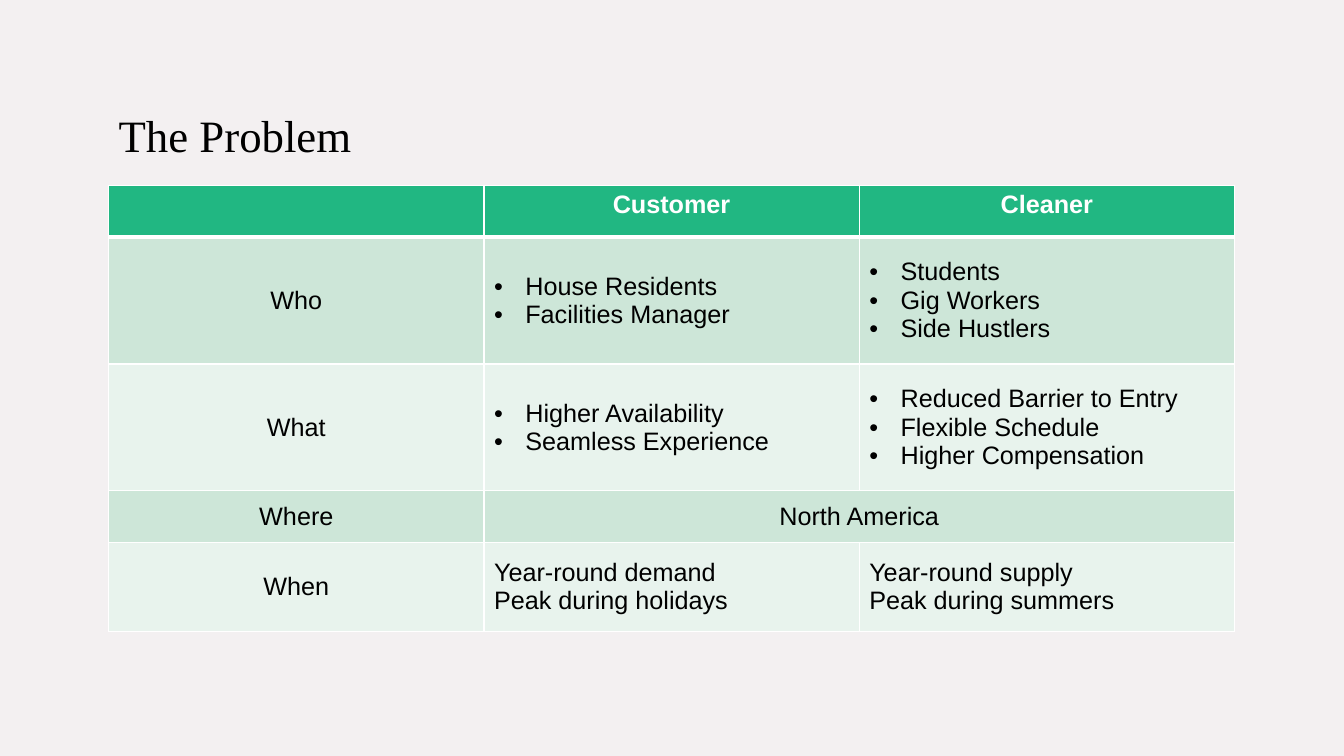
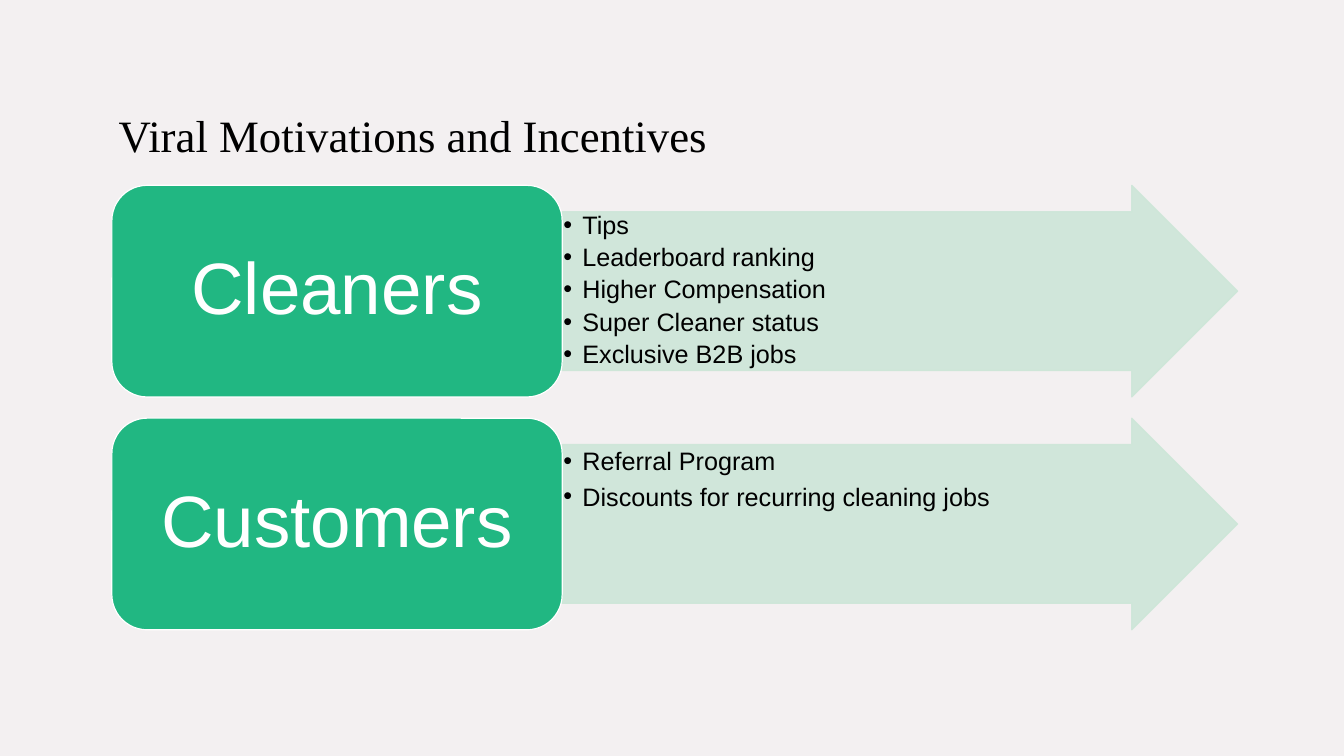
from lxml import etree
from pptx import Presentation, util as u
from pptx.dml.color import RGBColor
from pptx.enum import shapes, text
from pptx.oxml import ns

BACK, GREEN, MINT, PALE = "F3F0F1", "21B782", "CDE6D8", "E8F3ED"
WHITE, BLACK = "FFFFFF", "000000"
LEFT, WIDTH = 2.74, 28.37
BODY_TOP, BODY_HEIGHT = 4.67, 11.2

TABLE_HEAD = ["", "Customer", "Cleaner"]
TABLE_ROWS = [
    ("Who", ["House Residents", "Facilities Manager"],
     ["Students", "Gig Workers", "Side Hustlers"]),
    ("What", ["Higher Availability", "Seamless Experience"],
     ["Reduced Barrier to Entry", "Flexible Schedule", "Higher Compensation"]),
    ("Where", "North America", None),
    ("When", "Year-round demand\nPeak during holidays",
     "Year-round supply\nPeak during summers"),
]
ROW_HEIGHTS = [1.3, 3.2, 3.2, 1.3, 2.24]
INCENTIVES = [
    ("Cleaners", ["Tips", "Leaderboard ranking", "Higher Compensation",
                  "Super Cleaner status", "Exclusive B2B jobs"], 0.9),
    ("Customers", ["Referral Program", "Discounts for recurring cleaning jobs"], 1.0),
]


def paint(color, value):
    """Set a colour format from a hex string."""
    color.rgb = RGBColor.from_string(value)


def fill(target, value):
    """Give a shape, cell or background a solid fill."""
    target.fill.solid()
    paint(target.fill.fore_color, value)


def sub(parent, tag, **attrs):
    """Append a DrawingML element and return it."""
    return etree.SubElement(parent, ns.qn("a:" + tag), attrs)


def write(tf, lines, size, color, font="Arial", align=text.PP_ALIGN.LEFT,
          bold=False, indent=0, spacing=1.0, after=0):
    """Write lines as paragraphs, bulleted when an indent is given."""
    for i, line in enumerate(lines):
        p = tf.paragraphs[0] if i == 0 else tf.add_paragraph()
        p.text = line
        if indent:
            pPr = p._p.get_or_add_pPr()
            pPr.set("marL", str(u.Cm(indent)))
            pPr.set("indent", str(-u.Cm(indent)))
            sub(pPr, "buFont", typeface="Arial")
            sub(pPr, "buChar", char="•")
        p.alignment, p.line_spacing, p.space_after = align, spacing, u.Pt(after)
        p.font.name, p.font.size, p.font.bold = font, u.Pt(size), bold
        paint(p.font.color, color)


def set_margins(tf, margin):
    """Give a text frame the same margin on all sides."""
    tf.margin_left = tf.margin_right = tf.margin_top = tf.margin_bottom = u.Cm(margin)


def add_titled_slide(prs, title):
    """Add a blank slide with the shared title."""
    s = prs.slides.add_slide(prs.slide_layouts[6])
    tf = s.shapes.add_textbox(u.Cm(LEFT), u.Cm(1.09), u.Cm(WIDTH), u.Cm(3.1)).text_frame
    tf.word_wrap = True
    tf.vertical_anchor = text.MSO_ANCHOR.BOTTOM
    write(tf, [title], 32, BLACK, "Times New Roman")
    return s


def style_cell(cell, row, color):
    """Give a cell white borders, heavier under the header, and a fill."""
    tcPr = cell._tc.get_or_add_tcPr()
    heavy = {0: "lnB", 1: "lnT"}.get(row)
    for side in ("lnL", "lnR", "lnT", "lnB"):
        ln = sub(tcPr, side, w=str(u.Pt(3 if side == heavy else 1)))
        sub(sub(ln, "solidFill"), "srgbClr", val=WHITE)
    fill(cell, color)


def add_problem_table(s, x, y, w):
    """Add the table of customer and cleaner problems."""
    rows = [TABLE_HEAD, *TABLE_ROWS]
    table = s.shapes.add_table(len(rows), 3, u.Cm(x), u.Cm(y), u.Cm(w),
                               u.Cm(sum(ROW_HEIGHTS))).table
    table.first_row = table.horz_banding = False
    for col in table.columns:
        col.width = u.Cm(w / 3)
    for i, (row, height) in enumerate(zip(rows, ROW_HEIGHTS)):
        table.rows[i].height = u.Cm(height)
        for j, content in enumerate(row):
            cell = table.cell(i, j)
            style_cell(cell, i, GREEN if i == 0 else MINT if i % 2 else PALE)
            if not content:
                continue
            if i:
                cell.vertical_anchor = text.MSO_ANCHOR.MIDDLE
            bullets = isinstance(content, list)
            lines = content if bullets else content.split("\n")
            centred = not bullets and len(lines) == 1
            write(cell.text_frame, lines, 18, BLACK if i else WHITE,
                  align=text.PP_ALIGN.CENTER if centred else text.PP_ALIGN.LEFT,
                  bold=i == 0, indent=0.79 if bullets else 0)
        if row[-1] is None:
            table.cell(i, 1).merge(table.cell(i, 2))


def add_block(s, kind, x, y, w, h, color, outline):
    """Add a filled and thinly outlined shape."""
    sp = s.shapes.add_shape(kind, u.Cm(x), u.Cm(y), u.Cm(w), u.Cm(h))
    sp.shadow.inherit = False
    fill(sp, color)
    paint(sp.line.color, outline)
    sp.line.width = u.Pt(0.85)
    sp.text_frame.word_wrap = True
    return sp


def add_incentive(s, x, y, w, h, name, points, spacing):
    """Add a label and the arrow that lists its incentives."""
    label_w = 0.4 * w
    sp = add_block(s, shapes.MSO_SHAPE.RIGHT_ARROW, x + label_w, y, w - label_w, h, MINT, MINT)
    sp.adjustments[0], sp.adjustments[1] = 0.75, 0.5
    for clr in sp._element.spPr.iter(ns.qn("a:srgbClr")):
        sub(clr, "alpha", val="90000")
    tf = sp.text_frame
    set_margins(tf, 0.03)
    tf.vertical_anchor = text.MSO_ANCHOR.TOP
    write(tf, points, 18, BLACK, indent=0.48, spacing=spacing, after=3.5)

    sp = add_block(s, shapes.MSO_SHAPE.ROUNDED_RECTANGLE, x, y, label_w, h, GREEN, WHITE)
    tf = sp.text_frame
    set_margins(tf, 0.3)
    tf.vertical_anchor = text.MSO_ANCHOR.MIDDLE
    write(tf, [name], 52, WHITE, align=text.PP_ALIGN.CENTER, spacing=0.9)


def add_incentives(s, x, y, w, h):
    """Stack the incentive rows with gaps of a tenth of their height."""
    n = len(INCENTIVES)
    row_h = h / (n + 0.1 * (n - 1))
    for i, incentive in enumerate(INCENTIVES):
        add_incentive(s, x, y + i * 1.1 * row_h, w, row_h, *incentive)


def main():
    """Build and save both slides."""
    prs = Presentation()
    prs.slide_width, prs.slide_height = u.Cm(33.87), u.Cm(19.05)
    fill(prs.slide_master.background, BACK)
    add_problem_table(add_titled_slide(prs, "The Problem"), LEFT, BODY_TOP, WIDTH)
    add_incentives(add_titled_slide(prs, "Viral Motivations and Incentives"),
                   LEFT + 0.08, BODY_TOP, WIDTH, BODY_HEIGHT)
    prs.save("out.pptx")


if __name__ == "__main__":
    main()
